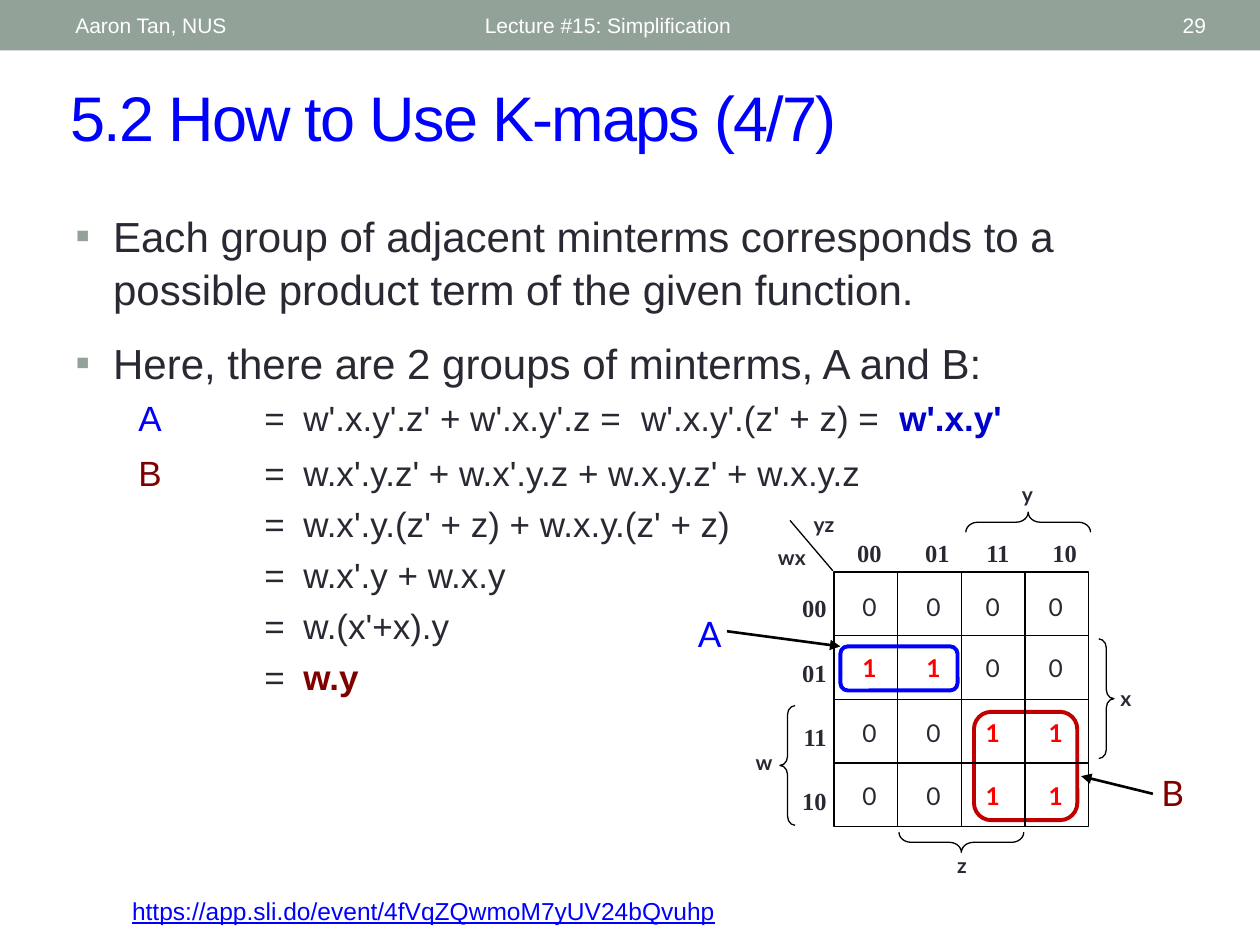
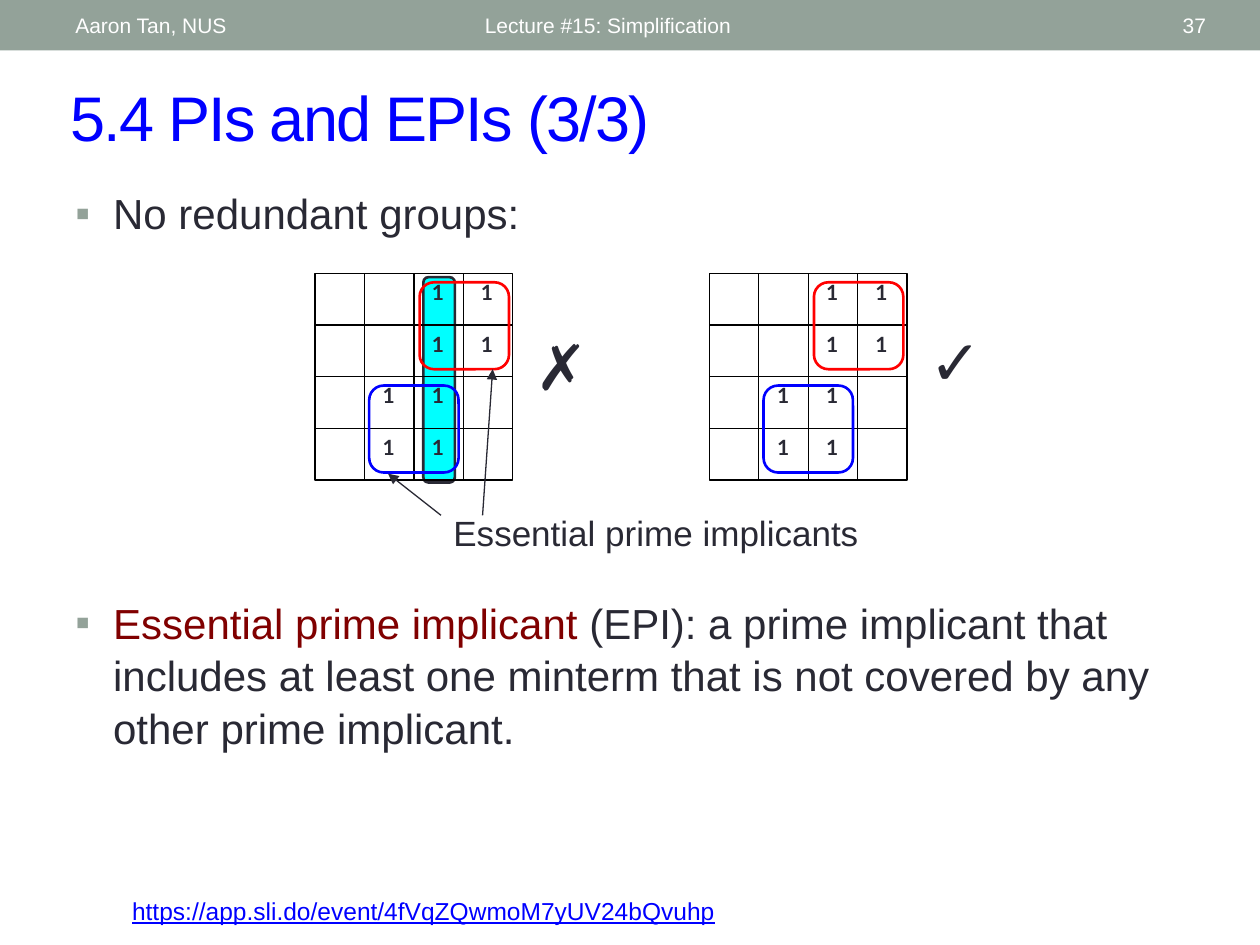
from lxml.etree import SubElement
from pptx import Presentation
from pptx.dml.color import RGBColor
from pptx.enum.shapes import MSO_CONNECTOR, MSO_SHAPE
from pptx.enum.text import MSO_ANCHOR, PP_ALIGN
from pptx.oxml.ns import qn
from pptx.util import Inches, Pt

INK, BAND, WHITE, BLACK = "292934", "93A299", "FFFFFF", "000000"
BLUE, RED, MAROON, CRIMSON = "0000FF", "FF0000", "800000", "C00000"
EQUATION_TABS = (0.5, 1.5, 1.81, 4.49, 6.54)


def color(value):
    return RGBColor.from_string(value)


class Lecture:
    def __init__(self):
        self.deck = Presentation()
        self.deck.slide_width, self.deck.slide_height = Inches(10), Inches(7.5)
        self.page = None

    def add_page(self, title, number):
        self.page = self.deck.slides.add_slide(self.deck.slide_layouts[6])
        self.shape(MSO_SHAPE.RECTANGLE, (0, 0, 10, 0.4), fill=BAND)
        self.label((0.95, 7.06, 6.5, 0.34), "https://app.sli.do/event/4fVqZQwmoM7yUV24bQvuhp",
                   14, BLUE, "Arial", align=PP_ALIGN.LEFT, underline=True)
        heading = self.label((0.46, 0.57, 9.07, 0.7), title, 36, BLUE, "Arial",
                             align=PP_ALIGN.LEFT, anchor=MSO_ANCHOR.MIDDLE)
        heading.font._element.set("spc", "-100")
        for left, width, words, align in (
            (3.75, 4.5, "Lecture #15: Simplification", PP_ALIGN.LEFT),
            (8.72, 0.95, str(number), PP_ALIGN.RIGHT),
            (0.5, 3.17, "Aaron Tan, NUS", PP_ALIGN.LEFT),
        ):
            self.label((left, 0.02, width, 0.36), words, 12, WHITE, "Arial",
                       align=align, anchor=MSO_ANCHOR.MIDDLE)

    def frame(self, at, anchor=MSO_ANCHOR.TOP):
        box = self.page.shapes.add_textbox(*map(Inches, at)).text_frame
        box.word_wrap = True
        box.vertical_anchor = anchor
        return box

    def span(self, para, words, size, ink=INK, font="Arial", bold=False, underline=False):
        span = para.add_run()
        span.text = words
        span.font.name, span.font.size = font, Pt(size)
        span.font.bold, span.font.underline = bold, underline
        span.font.color.rgb = color(ink)
        return span

    def label(self, at, words, size, ink=INK, font="Lato", align=PP_ALIGN.CENTER,
              anchor=MSO_ANCHOR.TOP, **style):
        para = self.frame(at, anchor).paragraphs[0]
        para.alignment = align
        return self.span(para, words, size, ink, font, **style)

    def body(self, at):
        return self.frame(at)

    def paragraph(self, box, before):
        if box.paragraphs[0].runs:
            para = box.add_paragraph()
            para.space_before = Pt(before)
        else:
            para = box.paragraphs[0]
        para.line_spacing = 1.05
        return para

    def bullet(self, box, *spans, before=0):
        para = self.paragraph(box, before)
        properties = para._p.get_or_add_pPr()
        properties.set("marL", str(Inches(0.3)))
        properties.set("indent", str(Inches(-0.3)))
        tint = SubElement(properties, qn("a:buClr"))
        SubElement(tint, qn("a:srgbClr"), val=BAND)
        SubElement(properties, qn("a:buFont"), typeface="Arial")
        SubElement(properties, qn("a:buChar"), char="▪")
        for words, ink in spans:
            self.span(para, words, 24, ink)

    def equation(self, box, *spans, before=4):
        para = self.paragraph(box, before)
        stops = SubElement(para._p.get_or_add_pPr(), qn("a:tabLst"))
        for stop in EQUATION_TABS:
            SubElement(stops, qn("a:tab"), pos=str(Inches(stop)), algn="l")
        for words, ink, bold in spans:
            self.span(para, words, 20, ink, bold=bold)

    def shape(self, kind, at, fill=None, line=None, weight=0.75, turn=0):
        shape = self.page.shapes.add_shape(kind, *map(Inches, at))
        shape.shadow.inherit = False
        shape.rotation = turn
        if fill:
            shape.fill.solid()
            shape.fill.fore_color.rgb = color(fill)
        else:
            shape.fill.background()
        if line:
            shape.line.color.rgb = color(line)
            shape.line.width = Pt(weight)
        else:
            shape.line.fill.background()
        return shape

    def brace(self, at, turn=0):
        brace = self.shape(MSO_SHAPE.LEFT_BRACE, at, line=BLACK, turn=turn)
        brace.adjustments[0] = 0.6

    def line(self, start, end, ink=BLACK, weight=0.75, arrow=False):
        line = self.page.shapes.add_connector(MSO_CONNECTOR.STRAIGHT, *map(Inches, start + end))
        line.line.color.rgb = color(ink)
        line.line.width = Pt(weight)
        if arrow:
            SubElement(line.line._get_or_add_ln(), qn("a:tailEnd"), type="triangle")
        SubElement(line._element.spPr, qn("a:effectLst"))

    def grid(self, left, top, width, height):
        self.shape(MSO_SHAPE.RECTANGLE, (left, top, width, height), line=BLACK)
        for step in range(1, 4):
            x, y = left + step * width / 4, top + step * height / 4
            self.line((left, y), (left + width, y))
            self.line((x, top), (x, top + height))


def build_kmap_page(lecture):
    lecture.add_page("5.2 How to Use K-maps (4/7)", 29)
    box = lecture.body((0.5, 1.6, 9, 4.31))
    lecture.bullet(box, ("Each group of adjacent minterms corresponds to a possible "
                         "product term of the given function.", INK))
    lecture.bullet(box, ("Here, there are 2 groups of minterms, A and B:", INK), before=12)
    lecture.equation(box, ("\tA", BLUE, False),
                     ("\t=\tw'.x.y'.z' + w'.x.y'.z =\tw'.x.y'.(z' + z) =\t", INK, False),
                     ("w'.x.y'", "0000CC", True))
    lecture.equation(box, ("\tB", MAROON, False),
                     ("\t=\tw.x'.y.z' + w.x'.y.z + w.x.y.z' + w.x.y.z", INK, False), before=6)
    for words in ("w.x'.y.(z' + z) + w.x.y.(z' + z)", "w.x'.y + w.x.y", "w.(x'+x).y"):
        lecture.equation(box, ("\t\t=\t" + words, INK, False))
    lecture.equation(box, ("\t\t=\t", INK, False), ("w.y", MAROON, True))

    for name, group, ink, place, name_ink, start, end in (
        ("A", (6.67, 5.13, 0.93, 0.35), BLUE, (5.44, 4.81), BLUE, (5.77, 5.01), (6.67, 5.13)),
        ("B", (7.73, 5.65, 0.82, 0.86), CRIMSON, (9.12, 6.07), MAROON, (9.15, 6.3), (8.58, 6.16)),
    ):
        lecture.shape(MSO_SHAPE.FLOWCHART_ALTERNATE_PROCESS, group, line=ink, weight=2.25)
        lecture.label(place + (0.34, 0.5), name, 20, name_ink)
        lecture.line(start, end, weight=1.5, arrow=True)

    lecture.grid(6.62, 4.54, 2.02, 2.02)
    columns, rows = (6.65, 7.16, 7.63, 8.13), (4.65, 5.13, 5.65, 6.15)
    for top, values in zip(rows, ("0000", "1100", "0011", "0011")):
        for left, value in zip(columns, values):
            one = value == "1"
            lecture.label((left, top, 0.5, 0.4), value, 14, RED if one else INK, bold=one)
    codes = ("00", "01", "11", "10")
    for index, (code, center) in enumerate(zip(codes, (6.9, 7.44, 7.92, 8.45))):
        lecture.label((center - 0.25, 4.22, 0.5, 0.4), code, 14, font="Times New Roman", bold=True)
        lecture.label((6.11, 4.66 + index * 0.51, 0.55, 0.4), code, 14, font="Times New Roman",
                      align=PP_ALIGN.RIGHT, bold=True)

    lecture.line((6.61, 4.53), (6.27, 4.13))
    for at, turn in (((6.19, 5.6, 0.12, 0.95), 0), ((8.72, 5.07, 0.12, 0.95), 180),
                     ((8.08, 3.65, 0.16, 0.99), 90), ((7.55, 6.19, 0.16, 0.99), 270)):
        lecture.brace(at, turn)
    for name, left, top, width in (("w", 5.88, 5.9, 0.37), ("x", 8.75, 5.39, 0.37),
                                   ("y", 7.97, 3.77, 0.37), ("z", 7.45, 6.72, 0.37),
                                   ("wx", 6.02, 4.27, 0.53), ("yz", 6.32, 4.01, 0.44)):
        lecture.label((left, top, width, 0.3), name, 12, bold=True)


def draw_groups(lecture, left, mark, mark_top):
    top, cell_width, cell_height = 2.17, 0.39, 0.41
    lecture.grid(left, top, 1.57, 1.64)
    for row, columns in enumerate(((2, 3), (2, 3), (1, 2), (1, 2))):
        for column in columns:
            lecture.label((left + column * cell_width, top + row * cell_height,
                           cell_width, cell_height), "1", 12, bold=True)
    for shift, group_top, ink in ((0.43, 3.06, BLUE), (0.83, 2.24, RED)):
        lecture.shape(MSO_SHAPE.ROUNDED_RECTANGLE, (left + shift, group_top, 0.71, 0.69),
                      line=ink, weight=1.5)
    lecture.label((left + 1.65, mark_top, 0.78, 0.95), mark, 36, font="Arial",
                  align=PP_ALIGN.LEFT)


def build_implicants_page(lecture):
    lecture.add_page("5.4 PIs and EPIs (3/3)", 37)
    lecture.bullet(lecture.body((0.5, 1.42, 9, 0.67)), ("No redundant groups:", INK))
    draw_groups(lecture, 5.63, "✓", 2.51)
    lecture.shape(MSO_SHAPE.ROUNDED_RECTANGLE, (3.36, 2.2, 0.25, 1.63),
                  fill="00FFFF", line=INK, weight=1.5)
    draw_groups(lecture, 2.5, "✗", 2.55)
    lecture.bullet(lecture.body((0.5, 4.67, 9, 1.67)), ("Essential prime implicant", MAROON),
                   (" (EPI): a prime implicant that includes at least one minterm that is "
                    "not covered by any other prime implicant.", INK))
    lecture.line((3.83, 4.09), (3.91, 2.93), INK, arrow=True)
    lecture.line((3.5, 4.09), (3.08, 3.76), INK, arrow=True)
    lecture.label((3.5, 4.01, 3.67, 0.43), "Essential prime implicants", 20, font="Arial",
                  align=PP_ALIGN.LEFT)


def main():
    lecture = Lecture()
    build_kmap_page(lecture)
    build_implicants_page(lecture)
    lecture.deck.save("out.pptx")


if __name__ == "__main__":
    main()
